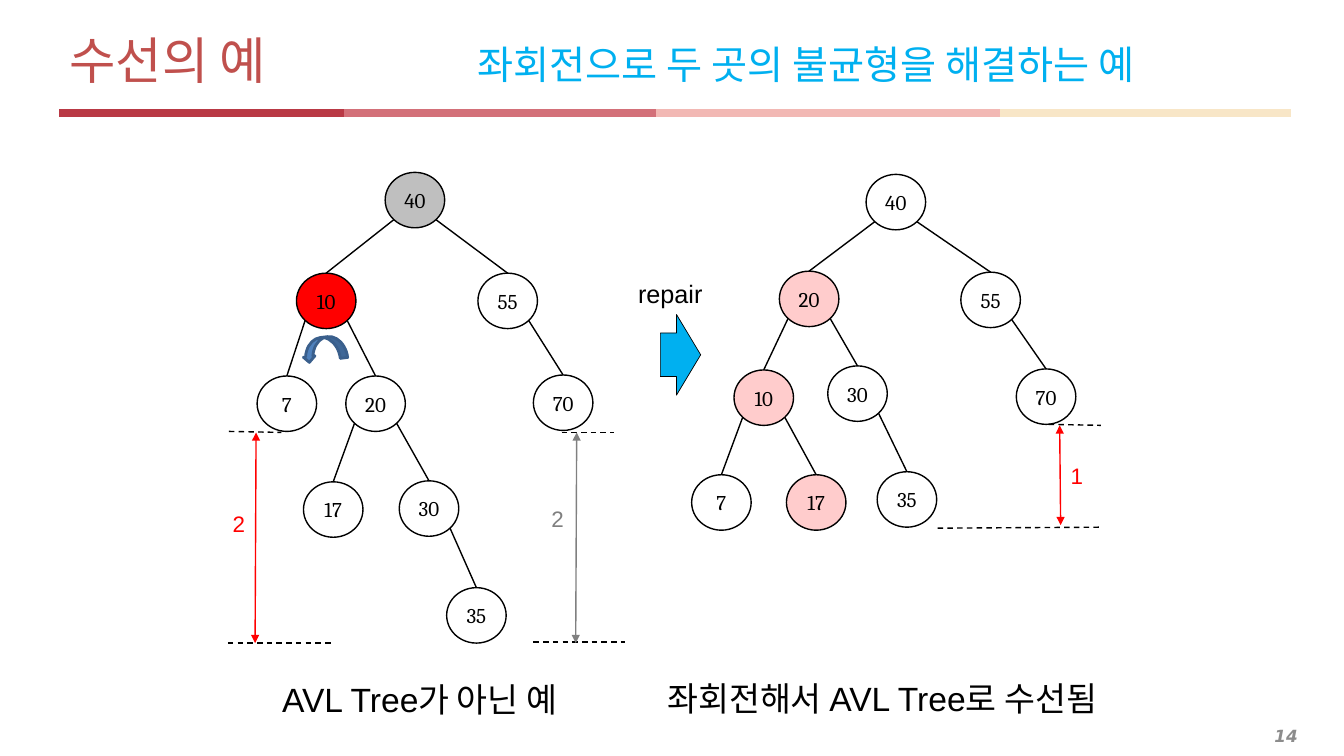
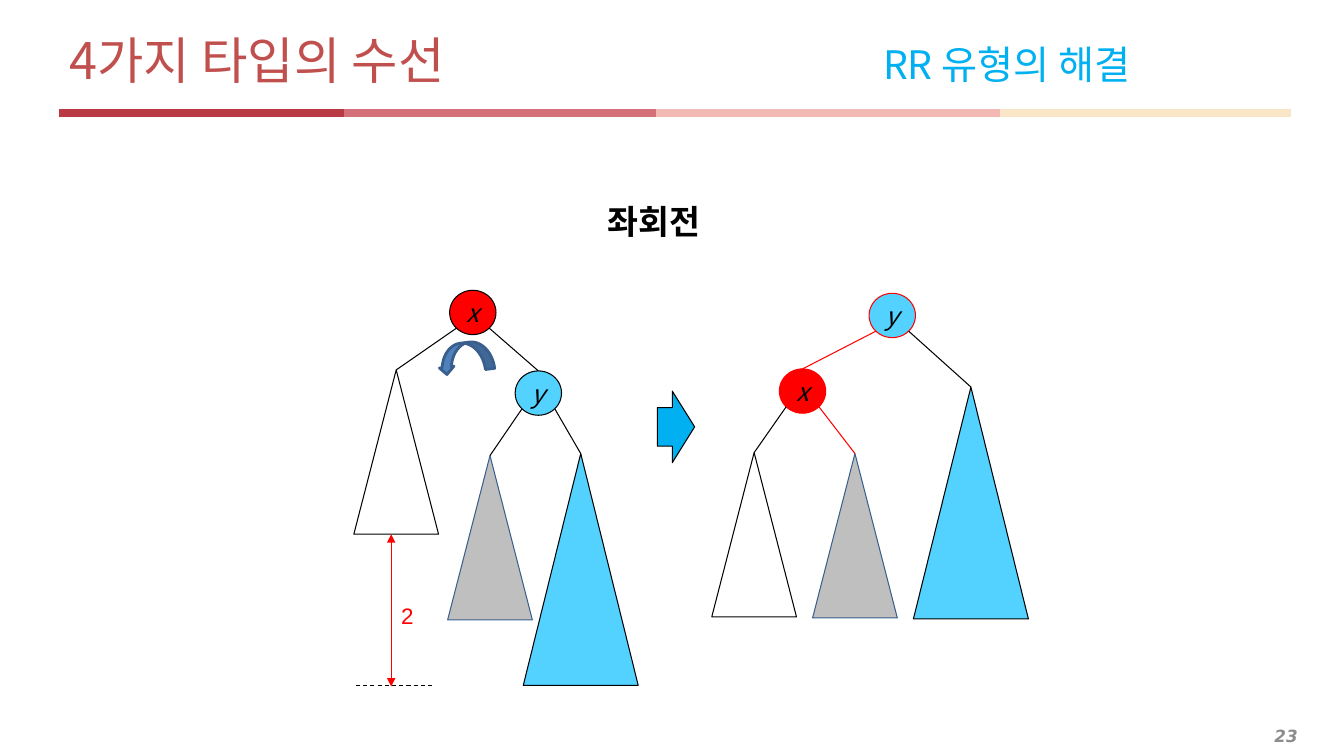
from math import sqrt

from lxml import etree
from pptx import Presentation
from pptx.dml.color import RGBColor
from pptx.enum.dml import MSO_LINE
from pptx.enum.shapes import MSO_CONNECTOR, MSO_SHAPE
from pptx.enum.text import MSO_ANCHOR, MSO_AUTO_SIZE, PP_ALIGN
from pptx.oxml.ns import qn
from pptx.util import Emu, Pt

STRAIGHT = MSO_CONNECTOR.STRAIGHT
ELLIPSE, TRIANGLE = MSO_SHAPE.OVAL, MSO_SHAPE.ISOSCELES_TRIANGLE
BLOCK_ARROW, ROTATION_ARROW = MSO_SHAPE.RIGHT_ARROW, MSO_SHAPE.CURVED_RIGHT_ARROW
DASH = MSO_LINE.DASH
TOP, MIDDLE = MSO_ANCHOR.TOP, MSO_ANCHOR.MIDDLE
LEFT, CENTER, RIGHT = PP_ALIGN.LEFT, PP_ALIGN.CENTER, PP_ALIGN.RIGHT

SCALE = 9144  # EMU per px, 100 px to the inch
KOREAN = "Noto Sans CJK KR"
COLORS = {
    "black": "000000", "red": "FF0000", "pink": "FFCCCC",
    "silver": "BFBFBF", "gray": "808080", "label gray": "7F7F7F",
    "sky": "53D2FF", "cyan": "00B0F0", "blue": "4F81BD", "navy": "3A5F8C",
    "title": "C0504D", "page": "8C8C8C",
    "band 1": "B93945", "band 2": "D37079", "band 3": "F2B8B4", "band 4": "F8E6C7",
}

# Text styles: font attributes plus a colour name
STYLES = {
    "title": ({"name": KOREAN, "size": Pt(36)}, "title"),
    "subtitle": ({"name": KOREAN, "size": Pt(28)}, "cyan"),
    "page": ({"name": "DejaVu Sans", "size": Pt(12), "bold": True, "italic": True}, "page"),
    "key": ({"name": "Cambria", "size": Pt(15)}, "black"),
    "variable": ({"name": KOREAN, "size": Pt(18), "italic": True}, "black"),
    "height": ({"name": "Arial", "size": Pt(16)}, "red"),
    "gray height": ({"name": "Arial", "size": Pt(16)}, "label gray"),
    "step": ({"name": "Arial", "size": Pt(18)}, "black"),
    "caption": ({"name": "Arial", "size": Pt(24)}, "black"),
    "heading": ({"name": "Arial", "size": Pt(24), "bold": True}, "black"),
}

# Shared rule under the title: start, end, colour
BANDS = [(310, 651, "band 2"), (651, 992, "band 3"), (992, 1280, "band 4"), (59, 341, "band 1")]
BAND_TOP = 112
MARGIN, CONTENT_WIDTH = 59, 1221

# Trees of keys: left, top, fill of each node, then parent-child pairs
KEY_SIZE = (59, 55)
UNBALANCED = {
    "40": (382, 171, "silver"), "10": (294, 271, "red"), "55": (474, 271, None),
    "7": (255, 373, None), "20": (343, 373, None), "70": (529, 372, None),
    "17": (301, 478, None), "30": (396, 477, None), "35": (443, 583, None),
}
UNBALANCED_LINKS = [("40", "10"), ("40", "55"), ("10", "7"), ("10", "20"), ("55", "70"),
                    ("20", "17"), ("20", "30"), ("30", "35")]
REPAIRED = {
    "40": (859, 173, None), "20": (773, 269, "pink"), "55": (953, 270, None),
    "10": (728, 367, "pink"), "30": (821, 363, None), "70": (1008, 366, None),
    "7": (686, 471, None), "17": (780, 471, "pink"), "35": (870, 468, None),
}
REPAIRED_LINKS = [("40", "20"), ("40", "55"), ("20", "10"), ("20", "30"), ("55", "70"),
                  ("10", "7"), ("10", "17"), ("30", "35")]

VARIABLE_SIZE = (46, 44)
SHORT_SUBTREE, TALL_SUBTREE = (84, 163), (114, 230)


def px(value):
    return Emu(round(value * SCALE))


def rgb(name):
    return RGBColor.from_string(COLORS[name])


def write(paragraph, text, style):
    """Add a run in one of the named styles."""
    run = paragraph.add_run()
    run.text = text
    values, color = STYLES[style]
    for attribute, value in values.items():
        setattr(run.font, attribute, value)
    run.font.color.rgb = rgb(color)
    latin = run.font._element.find(qn("a:latin"))
    east_asian = etree.Element(qn("a:ea"), typeface=KOREAN)
    latin.addnext(east_asian)


def add_text(slide, box, style, text="", align=LEFT, anchor=TOP, wrap=False):
    frame = slide.shapes.add_textbox(*map(px, box)).text_frame
    settings = {
        "word_wrap": wrap, "vertical_anchor": anchor,
        "auto_size": MSO_AUTO_SIZE.NONE if wrap else MSO_AUTO_SIZE.SHAPE_TO_FIT_TEXT,
    }
    for attribute, value in settings.items():
        setattr(frame, attribute, value)
    paragraph = frame.paragraphs[0]
    paragraph.alignment = align
    if text:
        write(paragraph, text, style)
    return paragraph


def add_line(slide, start, end, color="black", width=1, dash=None, arrows=False):
    line = slide.shapes.add_connector(STRAIGHT, *map(px, (*start, *end)))
    line.line.color.rgb = rgb(color)
    line.line.width = Pt(width)
    if dash:
        line.line.dash_style = dash
    if arrows:
        outline = line.line._get_or_add_ln()
        for tag in ("a:headEnd", "a:tailEnd"):
            etree.SubElement(outline, qn(tag), type="triangle")
    etree.SubElement(line.element.spPr, qn("a:effectLst"))
    return line


def add_figure(slide, kind, box, fill=None, outline="black", width=1, adjust=(), turn=0):
    figure = slide.shapes.add_shape(kind, *map(px, box))
    figure.shadow.inherit = False
    if fill:
        figure.fill.solid()
        figure.fill.fore_color.rgb = rgb(fill)
    else:
        figure.fill.background()
    figure.line.color.rgb = rgb(outline)
    figure.line.width = Pt(width)
    figure.rotation = turn
    for index, value in enumerate(adjust):
        figure.adjustments[index] = value
    return figure


def add_node(slide, label, place, size, style, fill=None, outline="black", width=1):
    node = add_figure(slide, ELLIPSE, (*place, *size), fill, outline, width)
    frame = node.text_frame
    for side in ("left", "right", "top", "bottom"):
        setattr(frame, f"margin_{side}", 0)
    frame.word_wrap = False
    frame.vertical_anchor = MIDDLE
    frame.paragraphs[0].alignment = CENTER
    write(frame.paragraphs[0], label, style)
    return node


def add_link(slide, parent, child, color="black", width=1):
    """Join the lower left or lower right of a node to the top of its child."""
    child_x = child.left + child.width / 2
    parent_x = parent.left + parent.width / 2
    side, site = (-1, 3) if child_x < parent_x else (1, 5)
    reach = 1 / sqrt(8)
    start = (parent_x + side * parent.width * reach,
             parent.top + parent.height * (0.5 + reach))
    link = add_line(slide, [v / SCALE for v in start],
                    (child_x / SCALE, child.top / SCALE), color, width)
    glue = link.element.find(f"{qn('p:nvCxnSpPr')}/{qn('p:cNvCxnSpPr')}")
    etree.SubElement(glue, qn("a:stCxn"), id=str(parent.shape_id), idx=str(site))
    link.end_connect(child, 0)


def add_key_tree(slide, keys, links):
    nodes = {key: add_node(slide, key, (left, top), KEY_SIZE, "key", fill)
             for key, (left, top, fill) in keys.items()}
    for parent, child in links:
        add_link(slide, nodes[parent], nodes[child])


def add_subtree(slide, place, size, fill=None, outline="black"):
    return add_figure(slide, TRIANGLE, (*place, *size), fill, outline, 0.75)


def add_block_arrow(slide, box, width):
    add_figure(slide, BLOCK_ARROW, box, "cyan", "black", width, (0.54, 0.6))


def add_rotation(slide, box):
    add_figure(slide, ROTATION_ARROW, box, "blue", "navy", 2, (0.32, 0.5, 0.25), 82.6)


def start_slide(deck, title, subtitle, subtitle_tab, page):
    """Blank slide with the shared title, bands and page number."""
    slide = deck.slides.add_slide(deck.slide_layouts[6])
    add_text(slide, (20, 714, 1277, 31), "page", page, RIGHT, MIDDLE, True)
    for start, end, color in BANDS:
        add_line(slide, (start, BAND_TOP), (end, BAND_TOP), color, 6)
    heading = add_text(slide, (MARGIN, 25, CONTENT_WIDTH, 68), "title",
                       anchor=MIDDLE, wrap=True)
    tabs = etree.SubElement(heading._p.get_or_add_pPr(), qn("a:tabLst"))
    etree.SubElement(tabs, qn("a:tab"), pos=str(px(subtitle_tab)), algn="l")
    write(heading, title + "\t", "title")
    write(heading, subtitle, "subtitle")
    return slide


def build_repair_example(deck):
    slide = start_slide(deck, "수선의 예", "좌회전으로 두 곳의 불균형을 해결하는 예", 405, "14")

    # Trees before and after the repair
    add_key_tree(slide, UNBALANCED, UNBALANCED_LINKS)
    add_key_tree(slide, REPAIRED, REPAIRED_LINKS)
    add_rotation(slide, (310, 324, 23, 44))
    add_block_arrow(slide, (655, 312, 40, 80), 0.5)
    add_text(slide, (623, 271, 92, 40), "step", "repair")

    # Levels and height differences
    for start, end in [((226, 638), (328, 638)), ((227, 428), (279, 429)),
                       ((529, 637), (620, 637)), ((557, 429), (609, 429)),
                       ((930, 524), (1092, 523)), ((1040, 421), (1092, 422))]:
        add_line(slide, start, end, dash=DASH)
    for start, end, color, label, place, style in [
            ((254, 429), (253, 638), "red", "2", (221, 501), "height"),
            ((572, 429), (571, 638), "gray", "2", (537, 496), "gray height"),
            ((1051, 422), (1052, 521), "red", "1", (1052, 454), "height")]:
        add_line(slide, start, end, color, arrows=True)
        add_text(slide, (*place, 33, 37), style, label)

    # Captions
    add_text(slide, (270, 669, 310, 50), "caption", "AVL Tree가 아닌 예")
    add_text(slide, (652, 668, 486, 50), "caption", "좌회전해서 AVL Tree로 수선됨")


def build_rr_case(deck):
    slide = start_slide(deck, "4가지 타입의 수선", "RR 유형의 해결", 807, "23")
    add_text(slide, (593, 194, 119, 50), "heading", "좌회전")

    def variable(label, place, fill, outline):
        return add_node(slide, label, place, VARIABLE_SIZE, "variable", fill, outline, 0.75)

    # Before the rotation: x is the root
    x_before = variable("x", (446, 288), "red", "black")
    y_before = variable("y", (511, 368), "sky", "black")
    left_before = add_subtree(slide, (351, 367), SHORT_SUBTREE)
    middle_before = add_subtree(slide, (444, 452), SHORT_SUBTREE, "silver", "navy")
    right_before = add_subtree(slide, (519, 450), TALL_SUBTREE, "sky")

    # After the rotation: y is the root
    x_after = variable("x", (773, 366), "red", "red")
    y_after = variable("y", (862, 291), "sky", "red")
    left_after = add_subtree(slide, (706, 449), SHORT_SUBTREE)
    middle_after = add_subtree(slide, (806, 450), SHORT_SUBTREE, "silver", "navy")
    right_after = add_subtree(slide, (906, 384), TALL_SUBTREE, "sky")

    # Links, with the changed ones in red
    for parent, child, color in [
            (x_before, left_before, "black"), (x_before, y_before, "black"),
            (y_before, middle_before, "black"), (y_before, right_before, "black"),
            (y_after, x_after, "red"), (y_after, right_after, "black"),
            (x_after, left_after, "black"), (x_after, middle_after, "red")]:
        add_link(slide, parent, child, color, 0.75)

    # Height difference and rotation
    add_line(slide, (353, 680), (430, 680), width=0.75, dash=DASH)
    add_line(slide, (388, 530), (388, 681), "red", 0.75, arrows=True)
    add_text(slide, (388, 592, 30, 33), "height", "2")
    add_block_arrow(slide, (652, 388, 37, 71), 0.75)
    add_rotation(slide, (447, 327, 29, 55))


def main():
    deck = Presentation()
    deck.slide_width, deck.slide_height = px(1333), px(750)
    build_repair_example(deck)
    build_rr_case(deck)
    deck.save("out.pptx")


if __name__ == "__main__":
    main()
